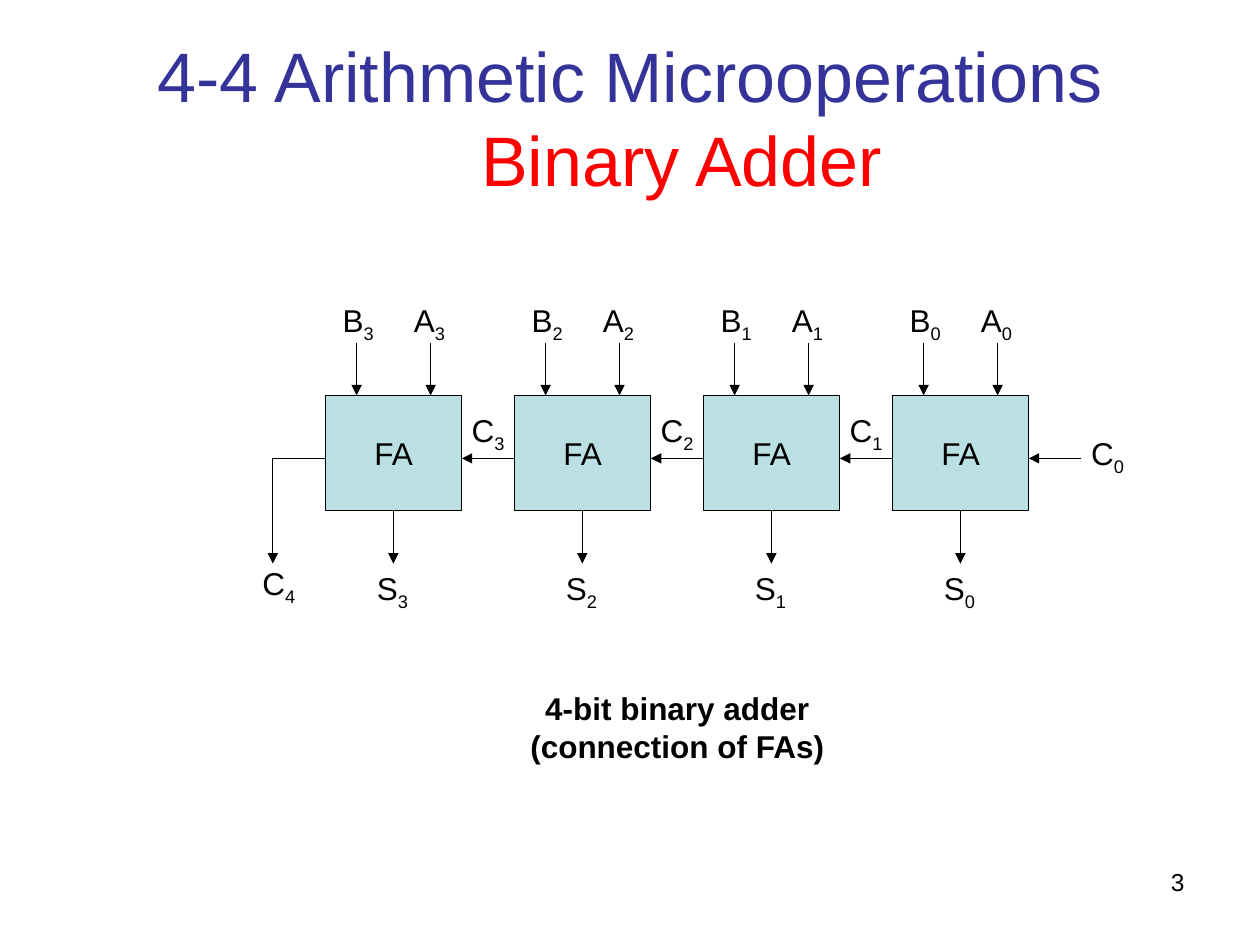
from lxml.etree import SubElement as Sub
from pptx import Presentation as Deck
from pptx.dml.color import RGBColor as Rgb
from pptx.enum.shapes import MSO_CONNECTOR as Conn, MSO_SHAPE as Form
from pptx.enum.text import MSO_ANCHOR as Anchor, PP_ALIGN as Align
from pptx.oxml.ns import qn
from pptx.util import Cm, Pt

HUES = {"ink": "000000", "title": "333399", "topic": "FF0000", "cell": "BBE0E3"}
BITS = 4
PITCH = 3.81                 # distance between neighbouring adders
WIDE, HIGH = 2.75, 2.33      # size of one adder
LEAD = 1.06                  # length of a signal arrow
MID = 1.27                   # height of the carry line below the adder's top
TAG = (1.48, 1.11)           # size of a signal label


def hue(name):
    return Rgb.from_string(HUES[name])


def style(font, size=18, color="ink", **more):
    looks = {"name": "Arial", "size": Pt(size), **more}
    for key, value in looks.items():
        setattr(font, key, value)
    font.color.rgb = hue(color)


def fill(frame, runs, align=Align.CENTER, anchor=Anchor.TOP):
    """Write (text, format) runs as one paragraph."""
    frame.word_wrap = True
    frame.vertical_anchor = anchor
    para = frame.paragraphs[0]
    para.alignment = align
    for text, form in runs:
        run = para.add_run()
        run.text = text
        style(run.font, **form)
    return para


def write(slide, box, runs, **place):
    frame = slide.shapes.add_textbox(*map(Cm, box)).text_frame
    return fill(frame, runs, **place)


def label(slide, x, y, name, bit):
    """Write a signal name with its bit number as a subscript."""
    para = write(slide, (x, y, *TAG), [(name, {}), (str(bit), {})])
    para.runs[1].font._element.set("baseline", "-25000")


def line(slide, x1, y1, x2, y2, head=True):
    wire = slide.shapes.add_connector(Conn.STRAIGHT, *map(Cm, (x1, y1, x2, y2)))
    wire.line.width = Pt(0.75)
    wire.line.color.rgb = hue("ink")
    if head:
        Sub(wire.line._get_or_add_ln(), qn("a:tailEnd"), type="triangle")
    Sub(wire._element.spPr, qn("a:effectLst"))


def title(slide, box):
    para = write(slide, box, [
        ("4-4 Arithmetic Microoperations ", {"size": 40, "color": "title"}),
        ("Binary Adder", {"size": 40, "color": "topic"}),
    ], anchor=Anchor.MIDDLE)
    # Hanging indent
    props = para._p.get_or_add_pPr()
    props.set("marL", str(Cm(2.08)))
    props.set("indent", str(Cm(-2.08)))


def adder(slide, x, y, bit):
    """Draw one full adder with its inputs, carry in and sum."""
    cell = slide.shapes.add_shape(Form.RECTANGLE, *map(Cm, (x, y, WIDE, HIGH)))
    cell.shadow.inherit = False
    cell.fill.solid()
    cell.fill.fore_color.rgb = hue("cell")
    cell.line.color.rgb = hue("ink")
    cell.line.width = Pt(0.75)
    fill(cell.text_frame, [("FA", {})], anchor=Anchor.MIDDLE)

    # Inputs
    for name, wire, tag in (("B", 0.63, -0.08), ("A", 2.12, 1.36)):
        line(slide, x + wire, y - LEAD, x + wire, y)
        label(slide, x + tag, y - 2.03, name, bit)

    # Carry in and sum
    line(slide, x + PITCH, y + MID, x + WIDE, y + MID)
    line(slide, x + 1.37, y + HIGH, x + 1.37, y + HIGH + LEAD)
    label(slide, x + 0.61, y + 3.38, "S", bit)


def chain(slide, x, y):
    """Draw the row of adders, highest bit on the left."""
    for bit in range(BITS):
        left = x + (BITS - 1 - bit) * PITCH
        adder(slide, left, y, bit)
        if bit:
            label(slide, left + 2.54, y + 0.2, "C", bit)
    label(slide, x + (BITS - 1) * PITCH + 3.6, y + 0.66, "C", 0)

    # Carry out
    out = x - LEAD
    line(slide, x, y + MID, out, y + MID, head=False)
    line(slide, out, y + MID, out, y + HIGH + LEAD)
    label(slide, x - 1.68, y + 3.28, "C", BITS)


def main():
    deck = Deck()
    deck.slide_width, deck.slide_height = Cm(25.4), Cm(19.05)
    slide = deck.slides.add_slide(deck.slide_layouts[6])
    title(slide, (1.27, 0.76, 22.86, 3.18))
    chain(slide, 6.56, 7.97)
    # Caption and page number
    write(slide, (8.89, 13.77, 9.53, 1.78),
          [("4-bit binary adder (connection of FAs)", {"bold": True})])
    write(slide, (18.21, 17.35, 5.92, 1.32), [("3", {"size": 14})],
          align=Align.RIGHT)
    deck.save("out.pptx")


if __name__ == "__main__":
    main()
